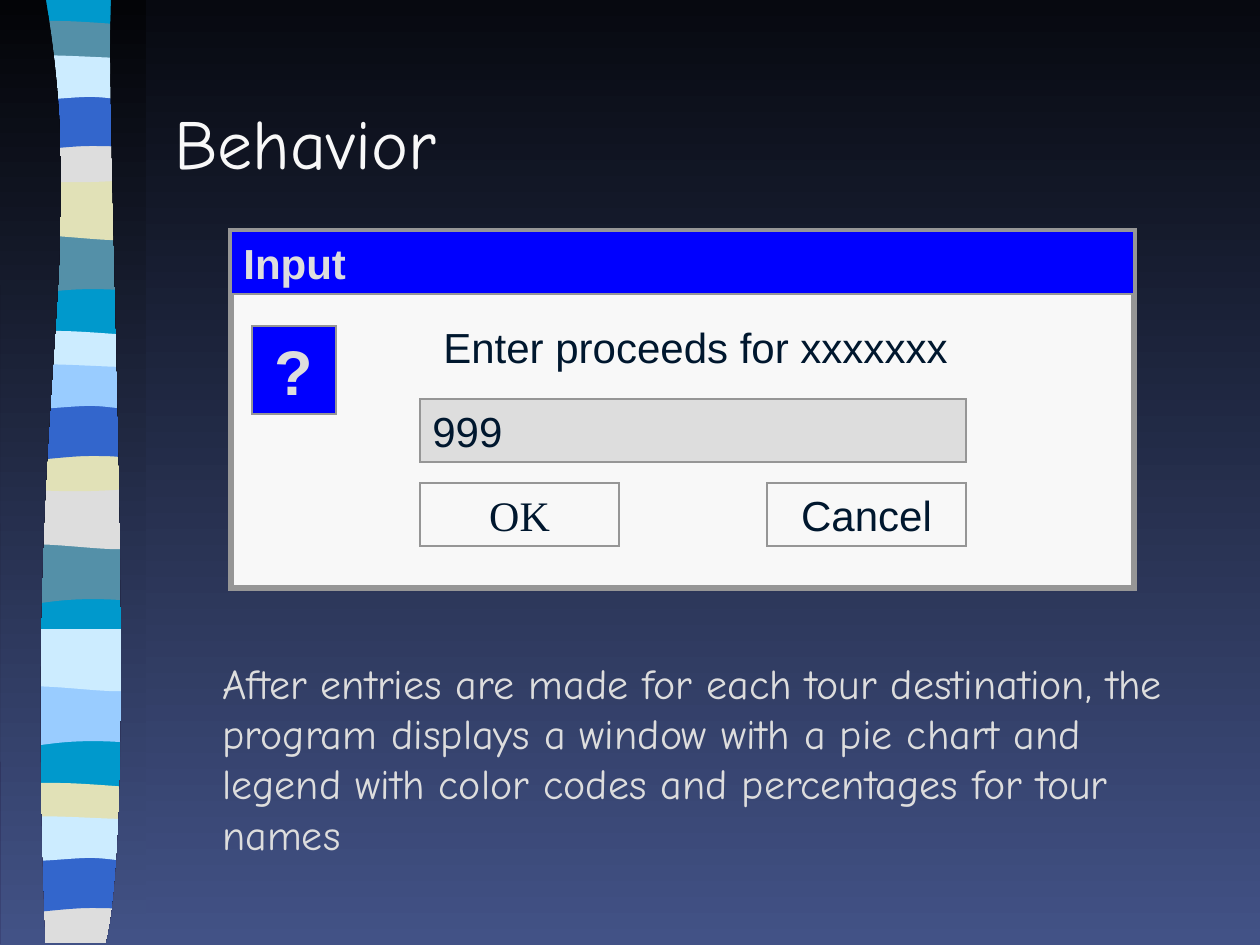
from typing import NamedTuple, Optional

from lxml import etree
from pptx import Presentation
from pptx import util as u
from pptx.dml.color import RGBColor
from pptx.enum import shapes, text
from pptx.oxml.ns import qn

PX = 914400 / 126  # EMU in one px
WIDTH, HEIGHT = 1260, 945
COLORS = {
    "night": "070910", "black": "030407", "indigo": "425286",
    "cyan": "0099CC", "teal": "5490A8", "sand": "E1E1B7", "silver": "DDDDDD",
    "royal": "3366CC", "ice": "CCECFF", "sky": "99CCFF",
    "white": "F8F8F8", "blue": "0000FF", "gray": "969696", "ink": "00172E",
}

# Outlines: a pair is a line to a point, a triple of pairs is a Bezier curve
RIGHT, LEFT = (136, 0), (0, 0)
OUTLINES = {
    "strip": [RIGHT, (136, 942), (0, 942), LEFT],
    "deep": [RIGHT, (136, 59), ((42, 49), (23, 69), (0, 59)), LEFT],
    "swell": [RIGHT, (136, 59), ((113, 69), (42, 52), (0, 59)), LEFT],
    "ribbon": [(136, 6), (136, 37), ((113, 42), (23, 42), (0, 37)), (0, 6),
               ((8, 0), (29, 1), (52, 1)), ((74, 1), (118, 5), (136, 6))],
    "cup": [RIGHT, (136, 41), ((113, 48), (23, 48), (0, 41)), LEFT,
            ((83, 6), (107, 0), (136, 0))],
    "base": [RIGHT, (136, 47), (0, 47), LEFT, ((83, 6), (107, 0), (136, 0))],
    "arch": [RIGHT, (136, 59), ((115, 53), (106, 53), (83, 53)),
             ((60, 53), (20, 59), (0, 59)), LEFT],
    "wave": [(136, 6), (136, 45), ((127, 52), (106, 45), (83, 45)),
             ((60, 45), (14, 52), (0, 45)), (0, 6),
             ((19, 0), (92, 6), (115, 6)), ((138, 6), (133, 6), (136, 6))],
}
LEFT_EDGE = [(46, 0), ((90, 272), (22, 373), (45, 944)), (1, 944), (0, 0)]
RIGHT_EDGE = [(111, 0), ((106, 158), (140, 814), (106, 944)), (146, 944), (146, 0)]


class Band(NamedTuple):
    outline: str
    top: int
    color: str


class Box(NamedTuple):
    x: int
    y: int
    w: int
    h: int
    words: str = ""
    fill: Optional[str] = None
    line: Optional[str] = "gray"
    line_pt: float = 0.75
    fmt: dict = {}


BANDS = [
    Band("strip", 0, "cyan"),
    Band("deep", 233, "teal"), Band("swell", 178, "sand"),
    Band("ribbon", 20, "teal"), Band("cup", 136, "silver"),
    Band("arch", 93, "royal"), Band("wave", 52, "ice"),
    Band("deep", 543, "teal"), Band("swell", 487, "silver"),
    Band("ribbon", 330, "ice"), Band("cup", 445, "sand"),
    Band("arch", 403, "royal"), Band("wave", 361, "sky"),
    Band("deep", 685, "sky"), Band("swell", 629, "ice"),
    Band("ribbon", 782, "sand"), Band("base", 896, "silver"),
    Band("arch", 855, "royal"), Band("wave", 813, "ice"),
]
CENTER = text.PP_ALIGN.CENTER
DIALOG = [
    Box(231, 231, 903, 357, fill="white", line_pt=3),
    Box(231, 231, 903, 63, "Input", "blue", fmt=dict(color="silver", bold=True)),
    Box(252, 326, 84, 88, "?", "blue",
        fmt=dict(size=36, color="silver", bold=True, align=CENTER, before=22.5)),
    Box(431, 315, 599, 63, "Enter proceeds for xxxxxxx", line=None),
    Box(420, 399, 546, 63, "999", "silver"),
    Box(420, 483, 199, 63, "OK", fmt=dict(font="Times New Roman", align=CENTER)),
    Box(767, 483, 199, 63, "Cancel", fmt=dict(align=CENTER)),
]


def emu(px: float) -> int:
    return round(px * PX)


def rgb(name: str) -> RGBColor:
    return RGBColor.from_string(COLORS[name])


def fade(fill, top: str, bottom: str) -> None:
    """Fill from top to bottom with two colours."""
    fill.gradient()
    fill.gradient_angle = 270
    for stop, name in zip(fill.gradient_stops, (top, bottom)):
        stop.color.rgb = rgb(name)


def write(sp, words: str, *, size=24, font="Arial", color="ink", bold=False,
          align=text.PP_ALIGN.LEFT, before=15.0, anchor=text.MSO_ANCHOR.TOP,
          fit=text.MSO_AUTO_SIZE.SHAPE_TO_FIT_TEXT) -> None:
    tf = sp.text_frame
    tf.word_wrap, tf.auto_size, tf.vertical_anchor = True, fit, anchor
    p = tf.paragraphs[0]
    p.alignment, p.space_before = align, u.Pt(before)
    r = p.add_run()
    r.text = words
    r.font.size, r.font.name, r.font.bold = u.Pt(size), font, bold
    r.font.color.rgb = rgb(color)


def draw_outline(parent, outline: list, dx: int = 0, dy: int = 0):
    """Draw a closed outline, joining each triple of points into one curve."""
    points = []
    for part in outline:
        points += [part] if len(part) == 2 else part
    start, *rest = [(emu(x + dx), emu(y + dy)) for x, y in points]
    builder = parent.build_freeform(*start, scale=1.0)
    builder.add_line_segments(rest, close=True)
    sp = builder.convert_to_shape()
    sp.shadow.inherit = False
    sp.line.fill.background()

    segments = iter(list(sp.element.iter(qn("a:lnTo"))))
    for part in outline[1:]:
        segment = next(segments)
        if len(part) == 3:
            curve = etree.Element(qn("a:cubicBezTo"))
            segment.addprevious(curve)
            for piece in (segment, next(segments), next(segments)):
                curve.append(piece[0])
                piece.getparent().remove(piece)
    return sp


def draw_box(parent, box: Box) -> None:
    place = [emu(v) for v in box[:4]]
    if box.line is None:
        sp = parent.add_textbox(*place)
    else:
        sp = parent.add_shape(shapes.MSO_SHAPE.RECTANGLE, *place)
        sp.shadow.inherit = False
        sp.line.color.rgb, sp.line.width = rgb(box.line), u.Pt(box.line_pt)
        line = sp.element.find(".//" + qn("a:ln"))
        etree.SubElement(line, qn("a:miter"), lim="800000")
        if box.fill:
            sp.fill.solid()
            sp.fill.fore_color.rgb = rgb(box.fill)
        else:
            sp.fill.background()
    if box.words:
        write(sp, box.words, **box.fmt)


def main() -> None:
    prs = Presentation()
    prs.slide_width, prs.slide_height = emu(WIDTH), emu(HEIGHT)
    slide = prs.slides.add_slide(prs.slide_layouts[5])
    fade(slide.background.fill, "night", "indigo")

    # Striped ribbon, cut to shape by the two dark edges
    ribbon = slide.shapes.add_group_shape().shapes
    for band in BANDS:
        sp = draw_outline(ribbon, OUTLINES[band.outline], 7, band.top)
        sp.fill.solid()
        sp.fill.fore_color.rgb = rgb(band.color)
    for edge in (LEFT_EDGE, RIGHT_EDGE):
        fade(draw_outline(slide.shapes, edge).fill, "black", "indigo")

    # Title
    title = slide.shapes.title
    title.left, title.top, title.width, title.height = map(emu, (162, 62, 1071, 158))
    write(title, "Behavior", size=40, font="Comic Neue", color="white", before=0,
          anchor=text.MSO_ANCHOR.MIDDLE, fit=text.MSO_AUTO_SIZE.NONE)

    # Input dialog
    dialog = slide.shapes.add_group_shape().shapes
    for box in DIALOG:
        draw_box(dialog, box)

    # Explanation
    draw_box(slide.shapes, Box(
        210, 651, 998, 214,
        "After entries are made for each tour destination, the program displays "
        "a window with a pie chart and legend with color codes and percentages "
        "for tour names", line=None, fmt=dict(font="Comic Neue", color="silver")))

    prs.save("out.pptx")


if __name__ == "__main__":
    main()
